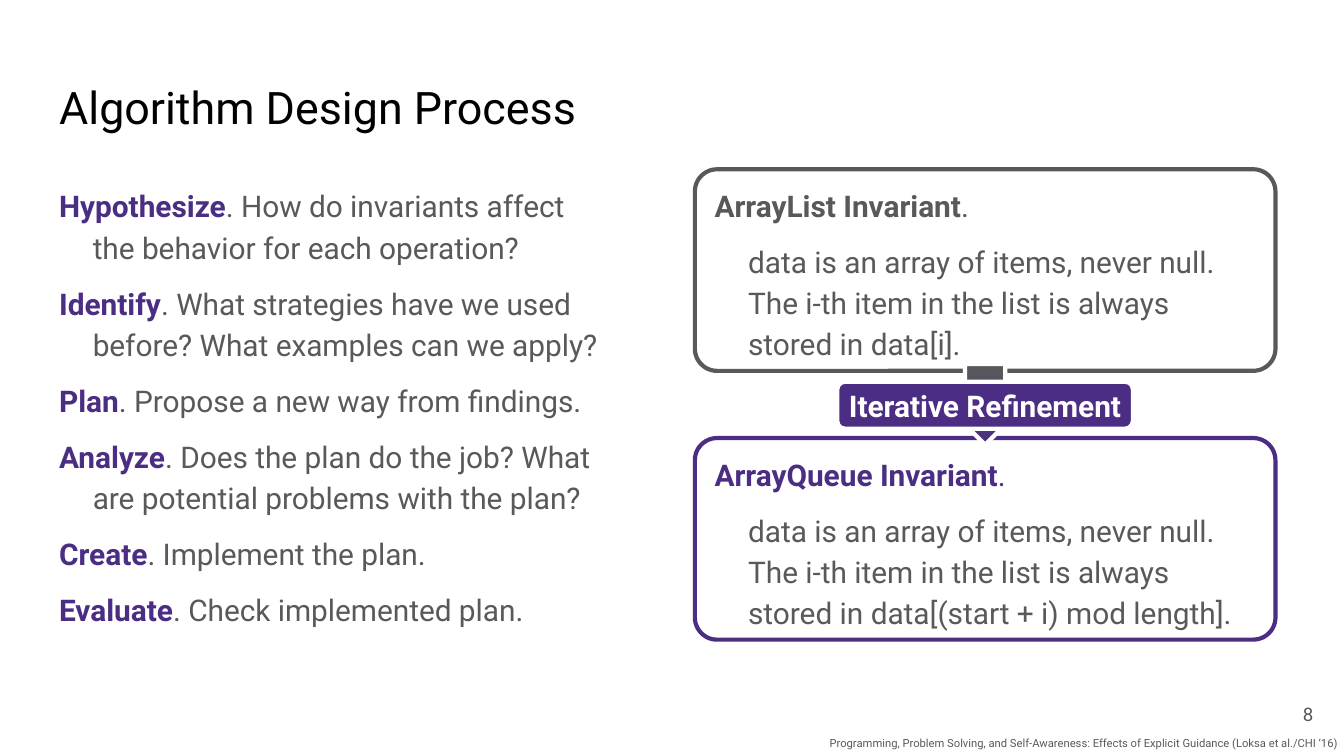
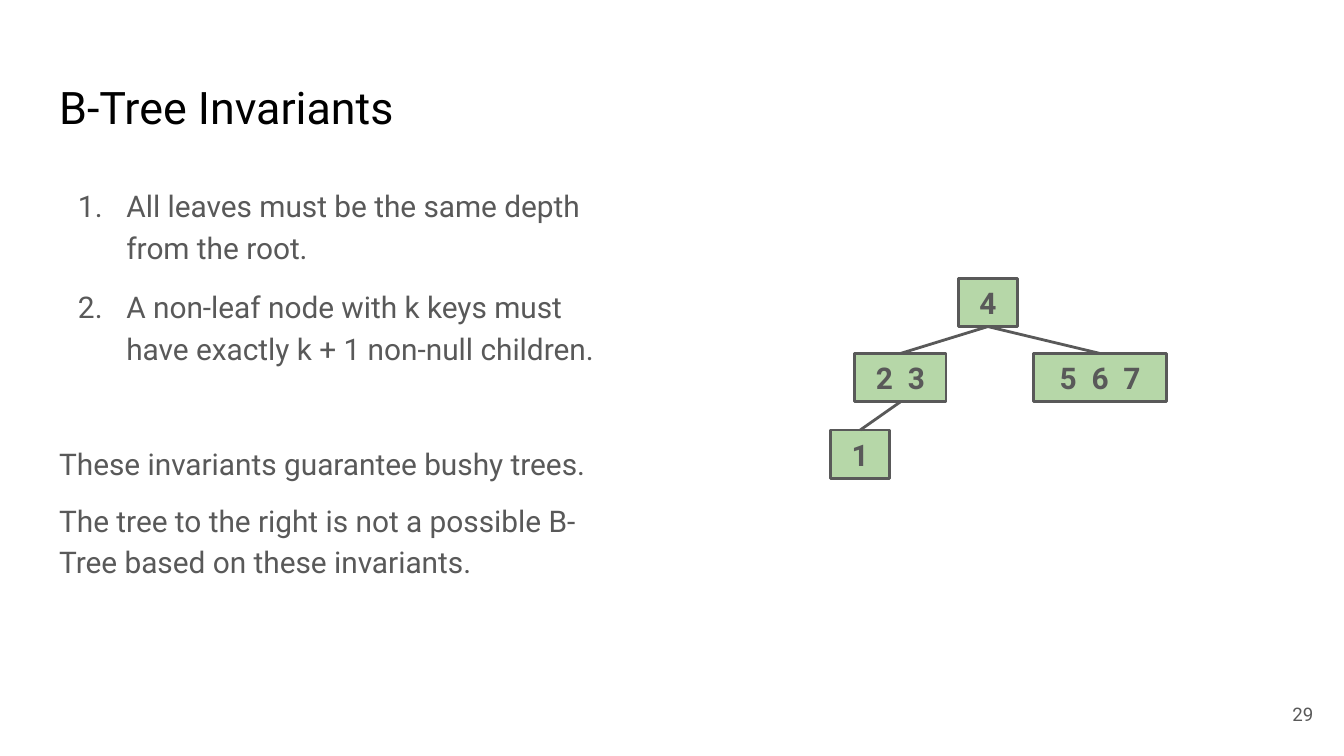
from copy import deepcopy
from dataclasses import dataclass
from typing import NamedTuple

from lxml import etree
from pptx import Presentation
from pptx.dml.color import RGBColor
from pptx.enum.shapes import MSO_CONNECTOR, MSO_SHAPE
from pptx.enum.text import MSO_ANCHOR, MSO_AUTO_SIZE, PP_ALIGN
from pptx.oxml.ns import qn
from pptx.util import Emu, Pt

LEFT, CENTER, RIGHT = PP_ALIGN.LEFT, PP_ALIGN.CENTER, PP_ALIGN.RIGHT
TOP, MIDDLE = MSO_ANCHOR.TOP, MSO_ANCHOR.MIDDLE
RECT, ROUND_RECT = MSO_SHAPE.RECTANGLE, MSO_SHAPE.ROUNDED_RECTANGLE
RIGHT_ARROW = MSO_SHAPE.RIGHT_ARROW
STRAIGHT = MSO_CONNECTOR.STRAIGHT
NO_AUTOFIT = MSO_AUTO_SIZE.NONE
BOTTOM_SITE, TOP_SITE = 2, 0

# Shared look
FONT = "Roboto"
BLACK, GRAY, PURPLE, WHITE, GREEN = "000000", "595959", "4B2E83", "FFFFFF", "B6D7A8"
BODY_SIZE = 16
BODY_SPACING = 1.15
EMU_PER_PX = 9144  # 100 px to the inch


class Box(NamedTuple):
    x: int
    y: int
    w: int
    h: int


class Run(NamedTuple):
    text: str
    color: str = GRAY
    bold: bool = False


class Insets(NamedTuple):
    x: int = 10
    y: int = 10


@dataclass
class Para:
    runs: list[Run]
    left: int = 0
    indent: int = 0
    before: int = 0
    numbered: bool = False


@dataclass
class Card:
    y: int
    heading: str
    text: str
    color: str


@dataclass
class Node:
    keys: str
    box: Box
    parent: str = ""


SLIDE_W = 1000
TITLE = Box(34, 49, 432, 63)
BODY = Box(34, 126, 432, 374)
NUMBER = Box(927, 510, 60, 43)
CITATION = Box(0, 543, SLIDE_W, 20)


def px(n: int) -> Emu:
    return Emu(n * EMU_PER_PX)


def emu(box: Box) -> list[Emu]:
    return [px(n) for n in box]


def rgb(color: str) -> RGBColor:
    return RGBColor.from_string(color)


# Text
def add_run(p, text: str, *, size: int = BODY_SIZE, color: str = GRAY, bold: bool = False) -> None:
    for i, line in enumerate(text.split("\n")):
        if i:
            p.add_line_break()
            p._p[-1].append(deepcopy(r._r.rPr))
        r = p.add_run()
        r.text = line
        r.font.name, r.font.size, r.font.bold = FONT, Pt(size), bold
        r.font.color.rgb = rgb(color)


def set_list_format(p, para: Para) -> None:
    pPr = p._p.get_or_add_pPr()
    pPr.set("marL", str(px(para.left)))
    pPr.set("indent", str(px(para.indent)))
    if para.numbered:
        clr = etree.SubElement(pPr, qn("a:buClr"))
        etree.SubElement(clr, qn("a:srgbClr"), val=GRAY)
        etree.SubElement(pPr, qn("a:buFont"), typeface=FONT)
        etree.SubElement(pPr, qn("a:buAutoNum"), type="arabicPeriod")
    else:
        etree.SubElement(pPr, qn("a:buNone"))


def write(tf, paras: list[Para], *, size: int = BODY_SIZE, spacing: float = 1.0,
          align=LEFT, anchor=TOP, insets: Insets = Insets()) -> None:
    tf.word_wrap = True
    tf.auto_size = NO_AUTOFIT
    tf.vertical_anchor = anchor
    tf.margin_left = tf.margin_right = px(insets.x)
    tf.margin_top = tf.margin_bottom = px(insets.y)
    for i, para in enumerate(paras):
        p = tf.add_paragraph() if i else tf.paragraphs[0]
        set_list_format(p, para)
        p.alignment, p.line_spacing = align, spacing
        p.space_before, p.space_after = Pt(para.before), Pt(0)
        for run in para.runs:
            add_run(p, run.text, size=size, color=run.color, bold=run.bold)


def add_label(s, box: Box, text: str, size: int, anchor, insets: Insets) -> None:
    tf = s.shapes.add_textbox(*emu(box)).text_frame
    write(tf, [Para([Run(text)])], size=size, align=RIGHT, anchor=anchor, insets=insets)


# Shapes
def add_shape(shapes, kind, box: Box, *, fill: str, line: str, width: float, adj: float | None = None):
    sp = shapes.add_shape(kind, *emu(box))
    sp.shadow.inherit = False
    sp.fill.solid()
    sp.fill.fore_color.rgb = rgb(fill)
    sp.line.color.rgb = rgb(line)
    sp.line.width = Pt(width)
    if adj is not None:
        sp.adjustments[0] = adj
    return sp


def add_edge(shapes, parent, child) -> None:
    cx = shapes.add_connector(
        STRAIGHT, parent.left + parent.width // 2, parent.top + parent.height,
        child.left + child.width // 2, child.top)
    cx.begin_connect(parent, BOTTOM_SITE)
    cx.end_connect(child, TOP_SITE)
    cx.line.color.rgb = rgb(GRAY)
    cx.line.width = Pt(1.5)
    etree.SubElement(cx._element.spPr, qn("a:effectLst"))


def add_card(s, card: Card) -> None:
    sp = add_shape(s.shapes, ROUND_RECT, Box(517, card.y, 432, 150),
                   fill=WHITE, line=card.color, width=2.25, adj=0.11)
    paras = [Para([Run(card.heading, card.color, True), Run(".", card.color)]),
             Para([Run(card.text)], left=25, before=8)]
    write(sp.text_frame, paras, spacing=BODY_SPACING, insets=Insets(10, 5))


def add_refinement_arrow(s) -> None:
    sp = add_shape(s.shapes, RIGHT_ARROW, Box(703, 271, 60, 60), fill=GRAY, line=WHITE, width=2.25)
    sp.rotation = 90
    sp.fill.gradient()
    sp.fill.gradient_angle = 0
    for stop, color in zip(sp.fill.gradient_stops, (GRAY, PURPLE)):
        stop.color.rgb = rgb(color)


def add_refinement_label(s) -> None:
    sp = add_shape(s.shapes, ROUND_RECT, Box(623, 284, 220, 35),
                   fill=PURPLE, line=WHITE, width=2.25, adj=0.167)
    write(sp.text_frame, [Para([Run("Iterative Refinement", WHITE, True)])],
          align=CENTER, anchor=MIDDLE, insets=Insets(0, 10))


def add_tree(s, nodes: list[Node]) -> None:
    shapes = s.shapes.add_group_shape().shapes
    drawn = {}
    for node in nodes:
        sp = add_shape(shapes, RECT, node.box, fill=GREEN, line=GRAY, width=1.5)
        write(sp.text_frame, [Para([Run(node.keys, bold=True)])], align=CENTER, anchor=MIDDLE)
        drawn[node.keys] = sp
    for node in nodes:
        if node.parent:
            add_edge(shapes, drawn[node.parent], drawn[node.keys])


# Slide frame: title, body and number
def add_slide(prs, title: str, body: list[Para], number: int):
    s = prs.slides.add_slide(prs.slide_layouts[1])
    title_ph, body_ph = s.shapes.title, s.placeholders[1]
    for ph, box in ((title_ph, TITLE), (body_ph, BODY)):
        ph.left, ph.top, ph.width, ph.height = emu(box)
    write(title_ph.text_frame, [Para([Run(title, BLACK)])], size=24)
    write(body_ph.text_frame, body, spacing=BODY_SPACING)
    add_label(s, NUMBER, str(number), 10, MIDDLE, Insets())
    return s


# Content
STEPS = [
    ("Hypothesize", "How do invariants affect the behavior for each operation?"),
    ("Identify", "What strategies have we used before? What examples can we apply?"),
    ("Plan", "Propose a new way from findings."),
    ("Analyze", "Does the plan do the job? What are potential problems with the plan?"),
    ("Create", "Implement the plan."),
    ("Evaluate", "Check implemented plan."),
]
INVARIANT = ("data is an array of items, never null.\n"
             "The i-th item in the list is always stored in ")
CARDS = [
    Card(126, "ArrayList Invariant", INVARIANT + "data[i].", GRAY),
    Card(326, "ArrayQueue Invariant", INVARIANT + "data[(start + i) mod length].", PURPLE),
]
SOURCE = ("Programming, Problem Solving, and Self-Awareness: "
          "Effects of Explicit Guidance (Loksa et al./CHI ‘16)")
RULES = [
    "All leaves must be the same depth from the root.",
    "A non-leaf node with k keys must have exactly k + 1 non-null children.",
]
REMARKS = [
    ("These invariants guarantee bushy trees.", 40),
    ("The tree to the right is not a possible B-Tree based on these invariants.", 8),
]
NODES = [
    Node("2  3", Box(636, 263, 68, 36), "4"),
    Node("5  6  7", Box(769, 263, 99, 36), "4"),
    Node("4", Box(713, 207, 44, 36)),
    Node("1", Box(618, 320, 44, 36), "2  3"),
]


def build_process(prs) -> None:
    body = [Para([Run(name, PURPLE, True), Run(f". {text}")], left=25, indent=-25,
                 before=8 if i else 0) for i, (name, text) in enumerate(STEPS)]
    s = add_slide(prs, "Algorithm Design Process", body, 8)
    for card in CARDS:
        add_card(s, card)
    add_refinement_arrow(s)
    add_label(s, CITATION, SOURCE, 6, TOP, Insets(5, 5))
    add_refinement_label(s)


def build_b_tree(prs) -> None:
    body = [Para([Run(text)], left=50, indent=-36, before=10 if i else 0, numbered=True)
            for i, text in enumerate(RULES)]
    body += [Para([Run(text)], before=before) for text, before in REMARKS]
    s = add_slide(prs, "B-Tree Invariants", body, 29)
    add_tree(s, NODES)


def main() -> None:
    prs = Presentation()
    prs.slide_width = px(SLIDE_W)
    prs.slide_height = Emu(prs.slide_width * 9 // 16)
    build_process(prs)
    build_b_tree(prs)
    prs.save("out.pptx")


if __name__ == "__main__":
    main()
